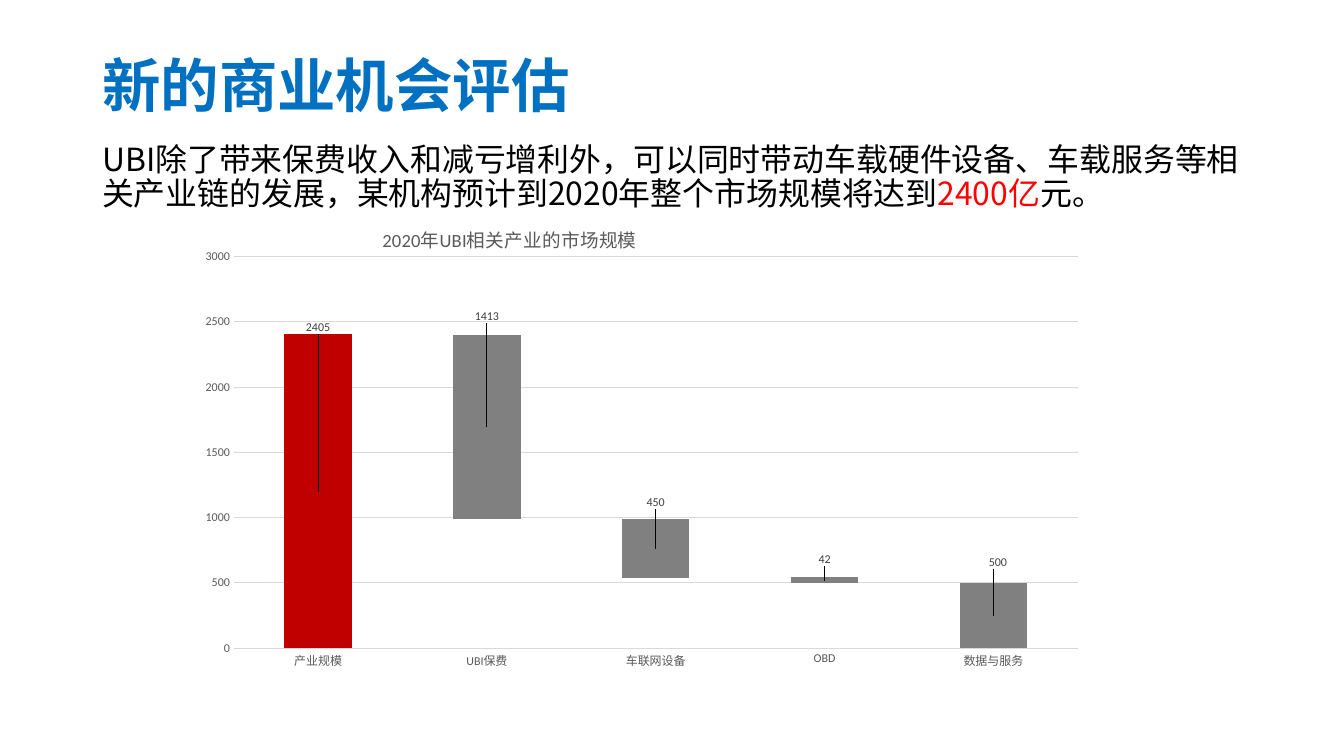
from dataclasses import dataclass

from lxml import etree
from pptx import Presentation
from pptx.chart.data import CategoryChartData
from pptx.dml.color import RGBColor
from pptx.enum.chart import XL_CHART_TYPE, XL_LABEL_POSITION, XL_TICK_MARK
from pptx.enum.text import MSO_ANCHOR, PP_ALIGN
from pptx.oxml.ns import qn
from pptx.util import Inches, Pt

STACKED = XL_CHART_TYPE.COLUMN_STACKED
CENTER = XL_LABEL_POSITION.CENTER
NO_TICK = XL_TICK_MARK.NONE
LEFT = PP_ALIGN.LEFT
TOP, MIDDLE = MSO_ANCHOR.TOP, MSO_ANCHOR.MIDDLE
WIDTH, HEIGHT = Inches(14.06), Inches(7.91)


@dataclass(frozen=True)
class Theme:
    latin: str = "Calibri"
    asian: str = "Noto Sans CJK SC"
    blue: str = "0070C0"
    black: str = "000000"
    red: str = "FF0000"
    total: str = "C00000"
    step: str = "808080"
    grid: str = "D9D9D9"
    axis: str = "595959"
    label: str = "404040"
    head: int = 44
    body: int = 24
    title: int = 14
    small: int = 9


THEME = Theme()

# category, hidden base, value, label shift (percent of the chart's size)
STEPS = [
    ("产业规模", 0, 2405, (0, -34.5)),
    ("UBI保费", 990, 1413, (0, -23.2)),
    ("车联网设备", 540, 450, (0, -9.7)),
    ("OBD", 500, 42, (0, -4.3)),
    ("数据与服务", 0, 500, (0.5, -11.2)),
]


def area(left, top, width, height):
    """Turn percentages of the slide into lengths."""
    return (int(WIDTH * left / 100), int(HEIGHT * top / 100),
            int(WIDTH * width / 100), int(HEIGHT * height / 100))


def style(font, size, color, name=THEME.latin, bold=False):
    font.size, font.name, font.bold = Pt(size), name, bold
    font.color.rgb = RGBColor.from_string(color)


def write(frame, parts, size, name=THEME.latin, bold=False,
          spacing=None, anchor=None):
    """Fill one left-aligned paragraph with (text, colour) parts."""
    if anchor is not None:
        frame.word_wrap = True
        frame.vertical_anchor = anchor
    para = frame.paragraphs[0]
    para.alignment = LEFT
    if spacing is not None:
        para.line_spacing = spacing
    for text, color in parts:
        run = para.add_run()
        run.text = text
        style(run.font, size, color, name, bold)
        latin = run.font._element.find(qn("a:latin"))
        latin.addnext(etree.Element(qn("a:ea"), typeface=THEME.asian))


def place(parent, index, modes, **shares):
    """Insert a manual layout, in percent of the chart, at index."""
    for old in parent.findall(qn("c:layout")):
        parent.remove(old)
    layout = etree.Element(qn("c:layout"))
    manual = etree.SubElement(layout, qn("c:manualLayout"))
    values = {key: value / 100 for key, value in shares.items()}
    for key, value in {**modes, **values}.items():
        etree.SubElement(manual, qn("c:" + key), val=str(value))
    parent.insert(index, layout)


def rule(line):
    line.color.rgb = RGBColor.from_string(THEME.grid)
    line.width = Pt(0.75)


def format_axes(chart):
    cats, vals = chart.category_axis, chart.value_axis
    for axis in (cats, vals):
        axis.major_tick_mark = axis.minor_tick_mark = NO_TICK
        style(axis.tick_labels.font, THEME.small, THEME.axis)
    rule(cats.format.line)
    vals.format.line.fill.background()
    vals.has_major_gridlines = True
    rule(vals.major_gridlines.format.line)
    vals.minimum_scale, vals.maximum_scale = 0, 3000
    vals.major_unit = 500


def paint(fill, color):
    fill.solid()
    fill.fore_color.rgb = RGBColor.from_string(color)


def format_bars(plot):
    plot.gap_width, plot.overlap = 150, 100
    plot.vary_by_categories = False
    base, bars = plot.series
    base.format.fill.background()
    base.format.line.fill.background()
    paint(bars.format.fill, THEME.total)
    for i in range(len(STEPS)):
        point = bars.points[i]
        if i:
            paint(point.format.fill, THEME.step)
        style(point.data_label.font, THEME.small, THEME.label)
        point.data_label.position = CENTER


def add_waterfall(slide, title, box):
    names, bases, sizes, shifts = zip(*STEPS)
    data = CategoryChartData()
    data.categories = names
    data.add_series("Series 1", bases)
    data.add_series("Series 2", sizes)
    chart = slide.shapes.add_chart(STACKED, *box, data).chart
    style(chart.font, 10, THEME.black)
    chart.has_legend = False
    chart.has_title = True
    write(chart.chart_title.text_frame, [(title, THEME.axis)], THEME.title)
    format_axes(chart)
    format_bars(chart.plots[0])

    root = chart._chartSpace
    edge = {"xMode": "edge", "yMode": "edge"}
    place(root.find(".//" + qn("c:title")), 1, edge, x=22.6, y=4)
    place(root.find(".//" + qn("c:plotArea")), 0,
          {"layoutTarget": "inner", **edge}, x=6.5, y=11.8, w=93.5, h=82.6)
    for label, (x, y) in zip(root.iter(qn("c:dLbl")), shifts):
        place(label, 1, {}, x=x, y=y)


def main():
    deck = Presentation()
    deck.slide_width, deck.slide_height = WIDTH, HEIGHT
    slide = deck.slides.add_slide(deck.slide_layouts[5])

    head = slide.shapes.title
    head.left, head.top, head.width, head.height = area(6.9, 5.31, 86.27, 12.77)
    write(head.text_frame, [("新的商业机会评估", THEME.blue)], THEME.head,
          bold=True, spacing=0.9, anchor=MIDDLE)

    body = slide.shapes.add_textbox(*area(6.9, 18.46, 86.27, 10))
    write(body.text_frame, [
        ("UBI除了带来保费收入和减亏增利外，可以同时带动车载硬件设备、车载服务等"
         "相关产业链的发展，某机构预计到2020年整个市场规模将达到", THEME.black),
        ("2400亿", THEME.red),
        ("元。", THEME.black),
    ], THEME.body, name=THEME.asian, spacing=Pt(25.6), anchor=TOP)

    add_waterfall(slide, "2020年UBI相关产业的市场规模",
                  area(13.02, 26.55, 67.21, 62.71))
    deck.save("out.pptx")


if __name__ == "__main__":
    main()
